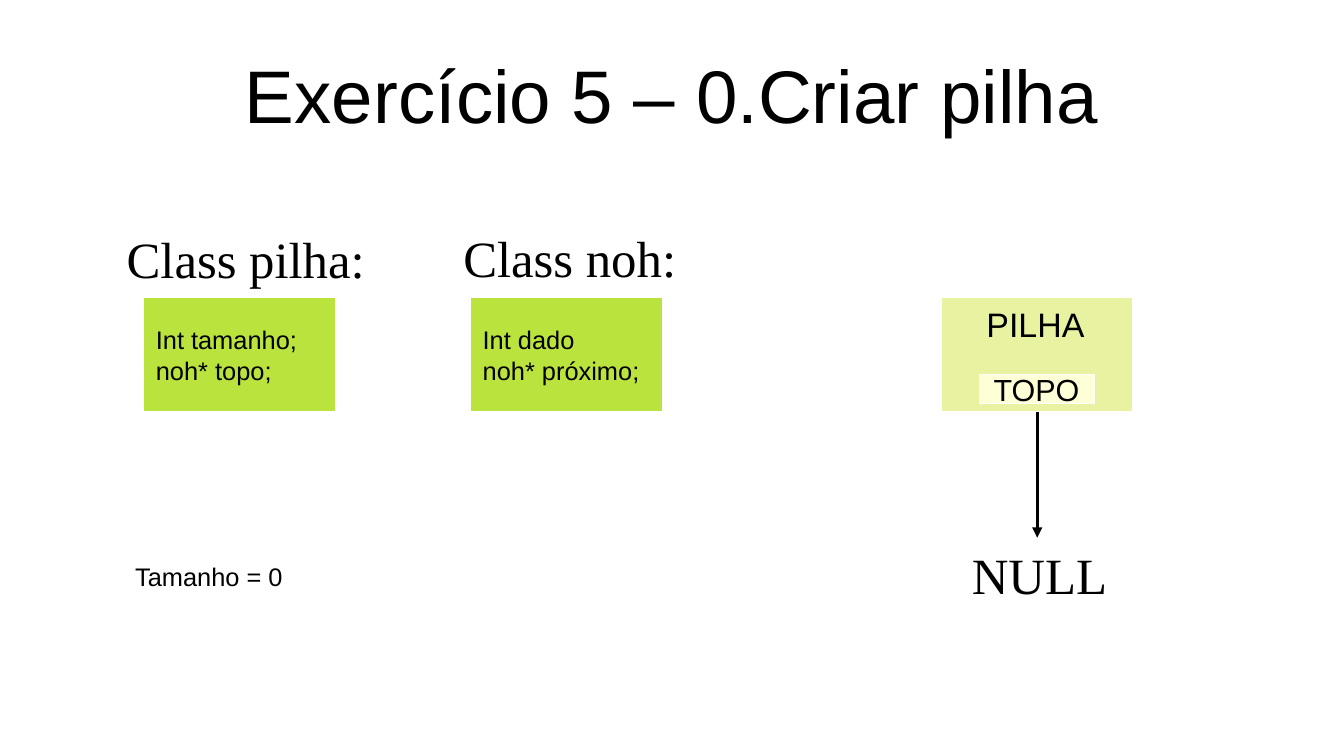
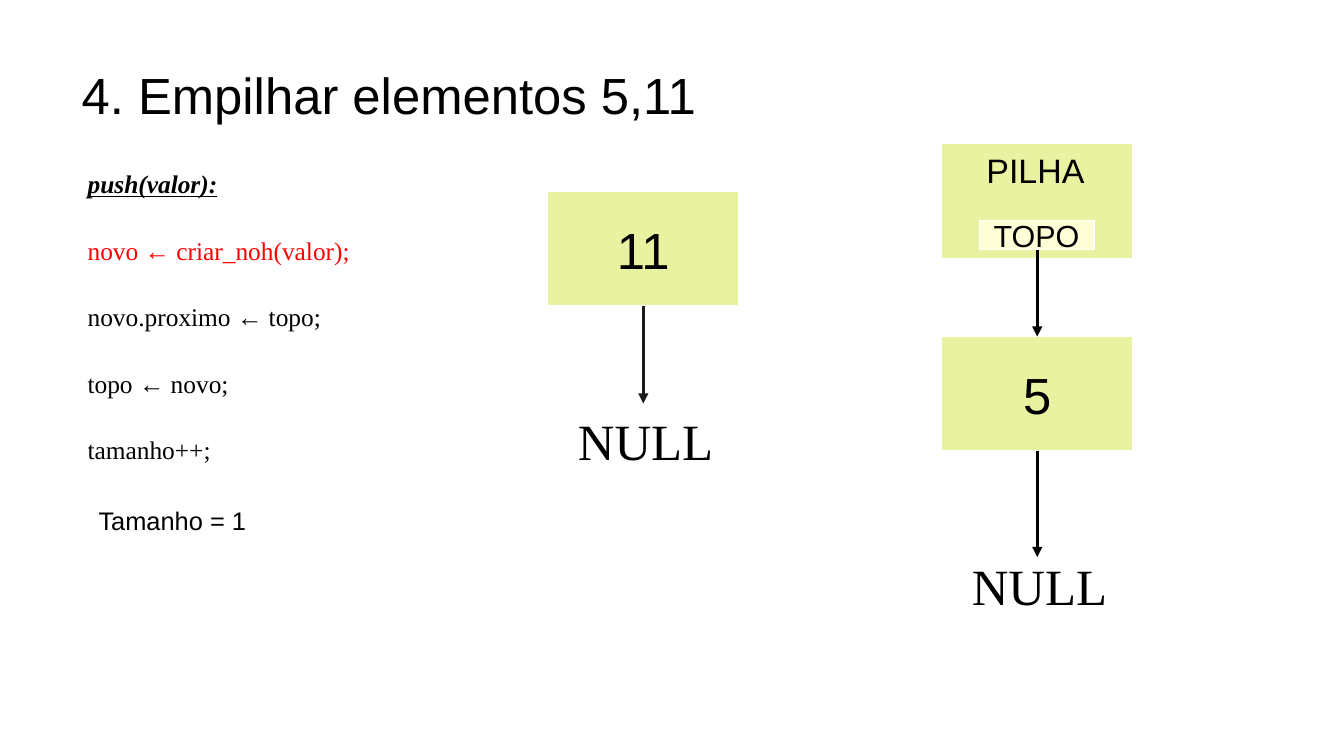
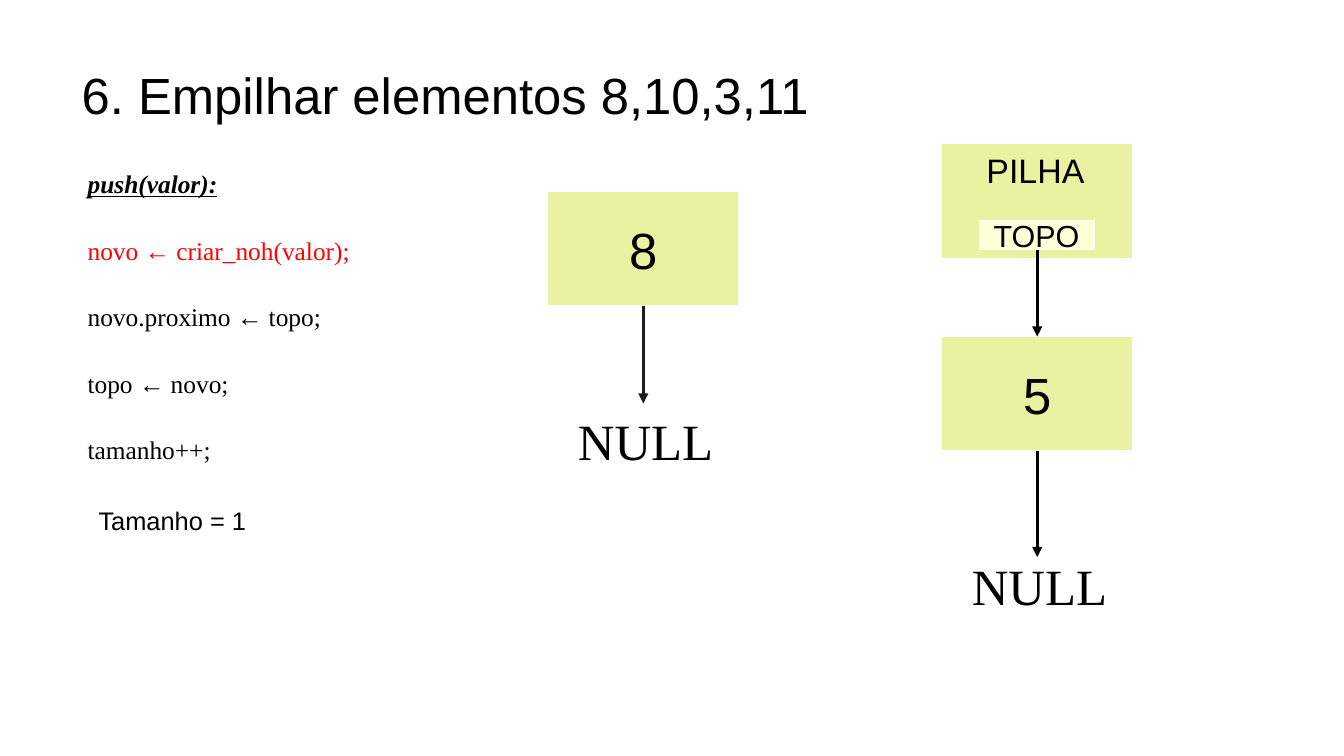
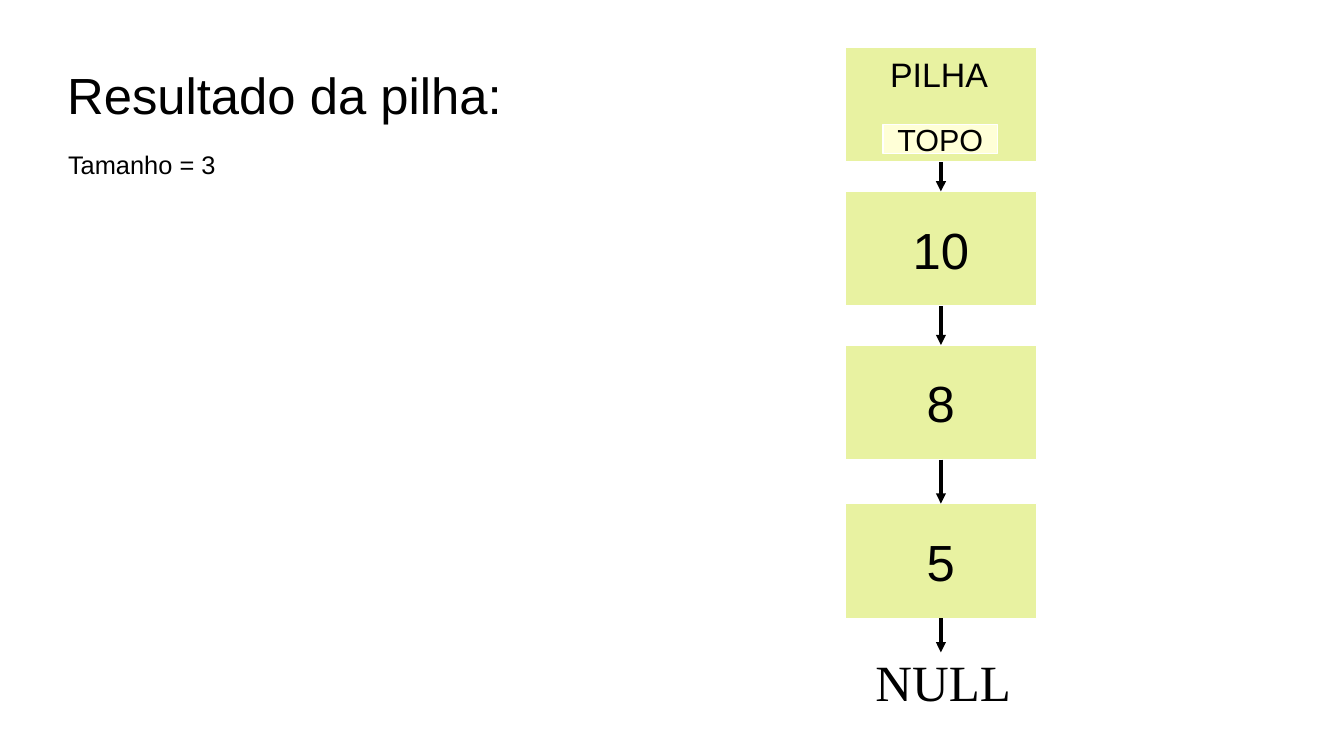
from dataclasses import dataclass, field

import lxml.etree
import pptx
import pptx.dml.color
import pptx.enum.shapes
import pptx.enum.text
import pptx.oxml.ns
import pptx.shapes.autoshape
import pptx.slide
import pptx.util
from pptx.util import Inches

Align = pptx.enum.text.PP_ALIGN
Anchor = pptx.enum.text.MSO_ANCHOR
AutoSize = pptx.enum.text.MSO_AUTO_SIZE


@dataclass(frozen=True)
class Theme:
    sans: str = "Arial"
    serif: str = "Times New Roman"
    ink: str = "000000"
    soft_ink: str = "1C1C1C"
    accent: str = "FF0000"
    paper: str = "FFFFFF"
    class_fill: str = "BBE33D"
    node_fill: str = "E8F2A1"
    top_fill: str = "FFFFD7"
    title_size: float = 44
    heading_size: float = 30
    stack_size: float = 20
    top_size: float = 18
    body_size: float = 15
    step_gap: float = 21.3


THEME = Theme()


@dataclass(frozen=True)
class Box:
    left: float
    top: float
    width: float
    height: float


@dataclass(frozen=True)
class Line:
    text: str
    size: float = THEME.body_size
    font: str = THEME.sans
    color: str = THEME.ink
    align: Align = Align.LEFT
    emphasis: bool = False
    before: float = 0
    after: float = 0


@dataclass(frozen=True)
class Node:
    value: str
    top: float


@dataclass(frozen=True)
class Chain:
    left: float
    nodes: list[Node]
    null_top: float
    tip: float
    header_top: float | None = None
    first_tail: float | None = None
    arrow_color: str = THEME.ink


@dataclass(frozen=True)
class ClassCard:
    title: str
    title_at: Box
    left: float
    members: list[str]


@dataclass(frozen=True)
class Page:
    title: Line
    title_left: float
    count: str
    count_left: float
    count_top: float
    chains: list[Chain]
    cards: list[ClassCard] = field(default_factory=list)
    steps: list[Line] = field(default_factory=list)


NODE_WIDTH = 1.57
NODE_HEIGHT = 0.94
CARD_TOP = 2.44
TITLE_RIGHT = 10.47
STEPS_AT = Box(0.62, 1.33, 3, 2.53)


def rgb(value: str) -> pptx.dml.color.RGBColor:
    return pptx.dml.color.RGBColor.from_string(value)


def apply(target: object, formats: dict[str, object]) -> None:
    for name, value in formats.items():
        setattr(target, name, value)


def lengths(box: Box) -> list[pptx.util.Length]:
    return [Inches(side) for side in (box.left, box.top, box.width, box.height)]


def write(shape: pptx.shapes.autoshape.Shape, lines: list[Line],
          frame_formats: dict[str, object]) -> None:
    frame = shape.text_frame
    apply(frame, frame_formats)
    for index, line in enumerate(lines):
        paragraph = frame.add_paragraph() if index else frame.paragraphs[0]
        apply(paragraph, {"alignment": line.align,
                          "space_before": pptx.util.Pt(line.before),
                          "space_after": pptx.util.Pt(line.after)})
        run = paragraph.add_run()
        run.text = line.text
        apply(run.font, {"name": line.font, "size": pptx.util.Pt(line.size),
                         "bold": line.emphasis, "italic": line.emphasis,
                         "underline": line.emphasis})
        run.font.color.rgb = rgb(line.color)


def add_label(slide: pptx.slide.Slide, box: Box, lines: list[Line]) -> None:
    label = slide.shapes.add_textbox(*lengths(box))
    write(label, lines, {"word_wrap": True, "auto_size": AutoSize.SHAPE_TO_FIT_TEXT})


def add_title(slide: pptx.slide.Slide, page: Page) -> None:
    box = Box(page.title_left, 0.25, TITLE_RIGHT - page.title_left, 1.04)
    title = slide.shapes.add_textbox(*lengths(box))
    margins = {f"margin_{side}": 0 for side in ("left", "top", "right", "bottom")}
    write(title, [page.title],
          {"word_wrap": True, "vertical_anchor": Anchor.MIDDLE} | margins)


def add_block(slide: pptx.slide.Slide, box: Box, fill: str, lines: list[Line]) -> None:
    block = slide.shapes.add_shape(pptx.enum.shapes.MSO_SHAPE.RECTANGLE, *lengths(box))
    block.shadow.inherit = False
    block.fill.solid()
    block.fill.fore_color.rgb = rgb(fill)
    block.line.color.rgb = rgb(THEME.paper)
    block.line.width = pptx.util.Pt(0)
    write(block, lines, {"word_wrap": False, "vertical_anchor": Anchor.MIDDLE})


def add_arrow(slide: pptx.slide.Slide, x: float, tail: float, tip: float, color: str) -> None:
    arrow = slide.shapes.add_connector(
        pptx.enum.shapes.MSO_CONNECTOR.STRAIGHT,
        Inches(x), Inches(tail), Inches(x), Inches(tip))
    arrow.line.color.rgb = rgb(color)
    arrow.line.width = pptx.util.Pt(0)
    qn = pptx.oxml.ns.qn
    lxml.etree.SubElement(arrow.line._get_or_add_ln(), qn("a:tailEnd"), type="triangle")
    lxml.etree.SubElement(arrow._element.spPr, qn("a:effectLst"))


def add_header(slide: pptx.slide.Slide, left: float, top: float) -> None:
    add_block(slide, Box(left, top, NODE_WIDTH, NODE_HEIGHT), THEME.node_fill, [])
    add_block(slide, Box(left + 0.31, top + 0.63, 0.94, 0.24), THEME.top_fill,
              [Line("TOPO", THEME.top_size, align=Align.CENTER)])
    add_label(slide, Box(left + 0.27, top, 1.02, 0.41), [Line("PILHA", THEME.stack_size)])


def add_chain(slide: pptx.slide.Slide, chain: Chain) -> None:
    tops = [node.top for node in chain.nodes]
    if chain.header_top is not None:
        add_header(slide, chain.left, chain.header_top)
        tops.insert(0, chain.header_top)
    for node in chain.nodes:
        add_block(slide, Box(chain.left, node.top, NODE_WIDTH, NODE_HEIGHT), THEME.node_fill,
                  [Line(node.value, THEME.heading_size, align=Align.CENTER)])
    tails = [top + NODE_HEIGHT for top in tops]
    if chain.first_tail is not None:
        tails[0] = chain.first_tail
    for tail, tip in zip(tails, tops[1:] + [chain.tip]):
        add_arrow(slide, chain.left + NODE_WIDTH / 2, tail, tip, chain.arrow_color)
    add_label(slide, Box(chain.left + 0.15, chain.null_top, 1.34, 0.54),
              [Line("NULL", THEME.heading_size, THEME.serif)])


def add_card(slide: pptx.slide.Slide, card: ClassCard) -> None:
    add_block(slide, Box(card.left, CARD_TOP, NODE_WIDTH, NODE_HEIGHT), THEME.class_fill,
              [Line(member) for member in card.members])
    add_label(slide, card.title_at, [Line(card.title, THEME.heading_size, THEME.serif)])


def add_page(deck: pptx.presentation.Presentation, page: Page) -> None:
    slide = deck.slides.add_slide(deck.slide_layouts[6])
    add_title(slide, page)
    for card in page.cards:
        add_card(slide, card)
    for chain in page.chains:
        add_chain(slide, chain)
    add_label(slide, Box(page.count_left, page.count_top, 1.43, 0.33), [Line(page.count)])
    if page.steps:
        add_label(slide, STEPS_AT, page.steps)


def step(text: str, color: str = THEME.ink, after: float = 0) -> Line:
    return Line(text, font=THEME.serif, color=color, before=THEME.step_gap, after=after)


def push_page(title: str, value: str) -> Page:
    return Page(
        title=Line(title, THEME.heading_size), title_left=0.67,
        count="Tamanho = 1", count_left=0.71, count_top=4.09,
        chains=[
            Chain(7.72, [Node("5", 2.76)], 4.5, 4.57, header_top=1.18, first_tail=2.05),
            Chain(4.49, [Node(value, 1.57)], 3.31, 3.31, arrow_color=THEME.soft_ink),
        ],
        steps=[
            Line("push(valor):", font=THEME.serif, emphasis=True),
            step("novo ← criar_noh(valor);", THEME.accent),
            step("novo.proximo ← topo;"),
            step("topo ← novo;"),
            step("tamanho++;", after=THEME.step_gap),
        ],
    )


PAGES = [
    Page(
        title=Line("Exercício 5 – 0.Criar pilha", THEME.title_size, align=Align.CENTER),
        title_left=0.55, count="Tamanho = 0", count_left=1.01, count_top=4.55,
        chains=[Chain(7.72, [], 4.41, 4.41, header_top=CARD_TOP)],
        cards=[
            ClassCard("Class pilha:", Box(0.94, 1.82, 2.6, 0.54), 1.18,
                      ["Int tamanho;", "noh* topo;"]),
            ClassCard("Class noh:", Box(3.7, 1.81, 2.28, 0.54), 3.86,
                      ["Int dado", "noh* próximo;"]),
        ],
    ),
    push_page("4. Empilhar elementos 5,11", "11"),
    push_page("6. Empilhar elementos 8,10,3,11", "8"),
    Page(
        title=Line("Resultado da pilha:", THEME.heading_size), title_left=0.55,
        count="Tamanho = 3", count_left=0.46, count_top=1.17,
        chains=[Chain(6.93, [Node("10", 1.57), Node("8", 2.83), Node("5", 4.13)],
                      5.29, 5.35, header_top=0.39)],
    ),
]


def main() -> None:
    deck = pptx.Presentation()
    apply(deck, {"slide_width": Inches(11.02), "slide_height": Inches(6.2)})
    for page in PAGES:
        add_page(deck, page)
    deck.save("out.pptx")


if __name__ == "__main__":
    main()
